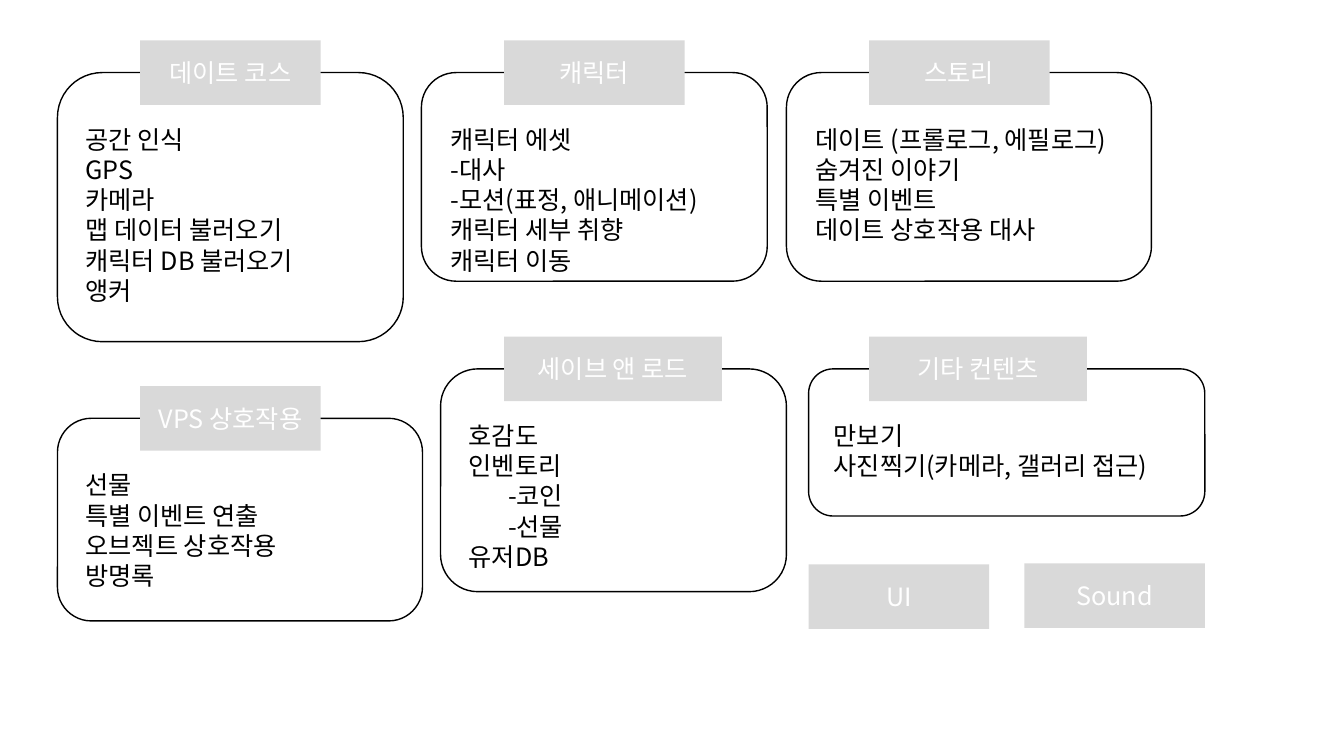
import pptx
import pptx.dml.color
import pptx.enum.shapes
import pptx.enum.text
import pptx.oxml.ns
import pptx.util
from lxml import etree
from pptx.util import Inches

KIND = pptx.enum.shapes.MSO_SHAPE
TAG_W, TAG_H = 1.79, 0.64
WIDE = 2.16


def color(code):
    """Turn a hex string into a colour."""
    return pptx.dml.color.RGBColor.from_string(code)


class Board:
    """Holds the style and the current slide."""

    face, size = "Noto Sans CJK KR", 18
    ink, fill, pale = "000000", "D9D9D9", "FFFFFF"
    indent = 0.39

    def __init__(self, slide):
        """Keep the slide to draw on."""
        self.shapes = slide.shapes

    def style(self, para, code):
        """Set the font of a paragraph, for Latin and Korean alike."""
        font = para.font
        font.size = pptx.util.Pt(self.size)
        font.color.rgb = color(code)
        font.name = self.face
        qn = pptx.oxml.ns.qn
        props = para._p.get_or_add_pPr().find(qn("a:defRPr"))
        etree.SubElement(props, qn("a:ea")).set("typeface", self.face)

    def frame(self, left, top, width, height):
        """Draw a rounded outline."""
        box = self.shapes.add_shape(KIND.ROUNDED_RECTANGLE, Inches(left),
                                    Inches(top), Inches(width), Inches(height))
        box.shadow.inherit = False
        box.fill.background()
        box.line.color.rgb = color(self.ink)
        box.line.width = pptx.util.Pt(1)

    def tag(self, text, left, top, width=TAG_W):
        """Draw a grey label with centred text."""
        box = self.shapes.add_shape(KIND.RECTANGLE, Inches(left), Inches(top),
                                    Inches(width), Inches(TAG_H))
        box.shadow.inherit = False
        box.fill.solid()
        box.fill.fore_color.rgb = color(self.fill)
        box.line.fill.background()
        box.text_frame.vertical_anchor = pptx.enum.text.MSO_ANCHOR.MIDDLE
        para = box.text_frame.paragraphs[0]
        para.text = text
        para.alignment = pptx.enum.text.PP_ALIGN.CENTER
        self.style(para, self.pale)

    def items(self, lines, left, top, width):
        """Write a list; a line that starts with a tab is indented."""
        box = self.shapes.add_textbox(Inches(left), Inches(top), Inches(width),
                                      Inches(0.1 + 0.3 * len(lines)))
        text = box.text_frame
        text.word_wrap = True
        text.auto_size = pptx.enum.text.MSO_AUTO_SIZE.SHAPE_TO_FIT_TEXT
        for num, line in enumerate(lines):
            para = text.add_paragraph() if num else text.paragraphs[0]
            para.text = line.lstrip("\t")
            if line.startswith("\t"):
                margin = str(Inches(self.indent))
                para._p.get_or_add_pPr().set("marL", margin)
            self.style(para, self.ink)

    def group(self, title, frame, tag, text, lines):
        """Draw a frame with a label on its top edge and a list inside."""
        top = frame[1]
        self.frame(*frame)
        self.tag(title, tag[0], top - TAG_H / 2, tag[1])
        self.items(lines, text[0], top + 0.46, text[1])


# Title, frame box, label left and width, list left and width, lines
GROUPS = [
    ("데이트 코스", (0.57, 0.72, 3.43, 2.67), (1.39, TAG_W), (0.75, 3.12),
     ["공간 인식", "GPS", "카메라", "맵 데이터 불러오기",
      "캐릭터 DB 불러오기", "앵커"]),
    ("캐릭터", (4.18, 0.72, 3.43, 2.07), (5, TAG_W), (4.37, 3.12),
     ["캐릭터 에셋", "-대사", "-모션(표정, 애니메이션)",
      "캐릭터 세부 취향", "캐릭터 이동"]),
    ("스토리", (7.8, 0.72, 3.62, 2.07), (8.62, TAG_W), (7.99, 3.43),
     ["데이트 (프롤로그, 에필로그)", "숨겨진 이야기", "특별 이벤트",
      "데이트 상호작용 대사"]),
    ("VPS 상호작용", (0.57, 4.15, 3.62, 2.01), (1.39, TAG_W), (0.75, 3.43),
     ["선물", "특별 이벤트 연출", "오브젝트 상호작용", "방명록"]),
    ("세이브 앤 로드", (4.37, 3.66, 3.43, 2.21), (5, WIDE), (4.55, 3.12),
     ["호감도", "인벤토리", "\t-코인", "\t-선물", "유저DB"]),
    ("기타 컨텐츠", (8.02, 3.66, 3.93, 1.46), (8.62, WIDE), (8.17, 3.68),
     ["만보기", "사진찍기(카메라, 갤러리 접근)"]),
]

deck = pptx.Presentation()
deck.slide_width, deck.slide_height = Inches(13.33), Inches(7.5)
board = Board(deck.slides.add_slide(deck.slide_layouts[6]))
for entry in GROUPS:
    board.group(*entry)
board.tag("UI", 8.02, 5.6)
board.tag("Sound", 10.16, 5.59)
deck.save("out.pptx")
